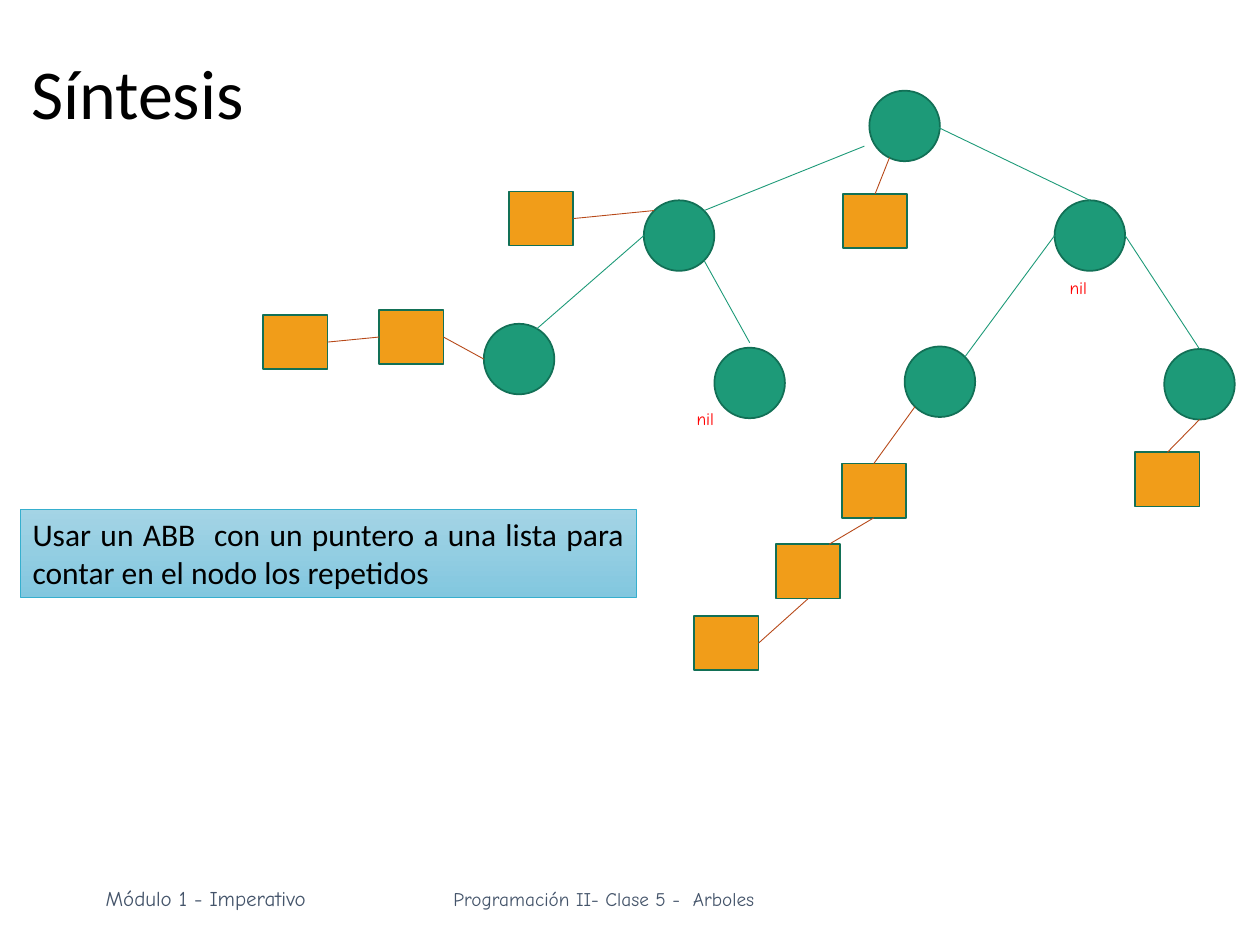
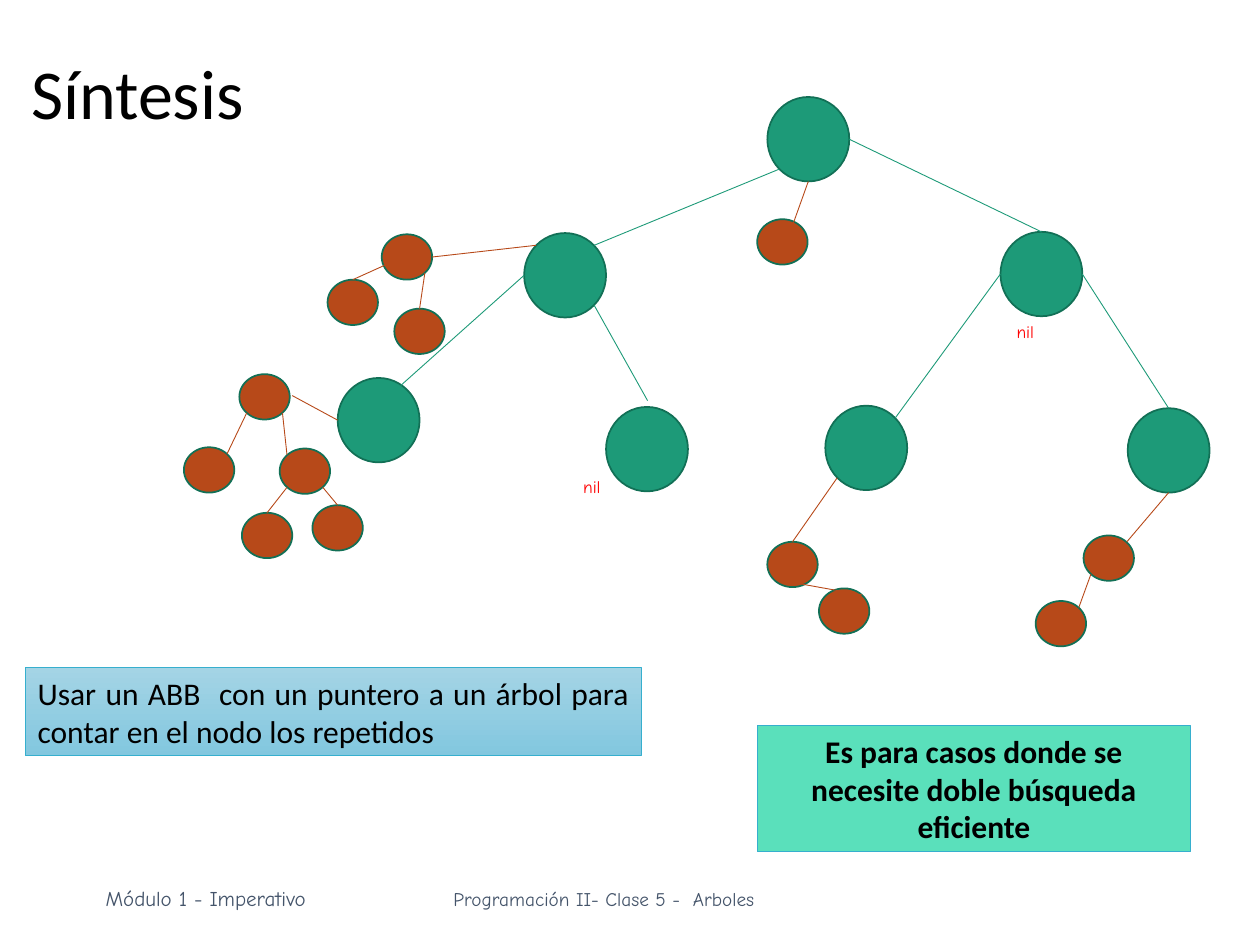
from dataclasses import dataclass

from lxml import etree
from pptx import Presentation
from pptx.dml.color import RGBColor
from pptx.enum.shapes import MSO_CONNECTOR, MSO_SHAPE
from pptx.enum.text import MSO_ANCHOR, PP_ALIGN
from pptx.oxml.ns import qn
from pptx.util import Inches, Pt

ELLIPSE, RECTANGLE = MSO_SHAPE.OVAL, MSO_SHAPE.RECTANGLE
STRAIGHT = MSO_CONNECTOR.STRAIGHT
LEFT_ALIGN, CENTER, JUSTIFY = PP_ALIGN.LEFT, PP_ALIGN.CENTER, PP_ALIGN.JUSTIFY
TOP_ANCHOR, MIDDLE_ANCHOR = MSO_ANCHOR.TOP, MSO_ANCHOR.MIDDLE

# Unit directions from the centre of a node to its outline
DIAGONAL = 0.71
TOP, BOTTOM, LEFT, RIGHT = (0, -1), (0, 1), (-1, 0), (1, 0)
TOP_LEFT, TOP_RIGHT = (-DIAGONAL, -DIAGONAL), (DIAGONAL, -DIAGONAL)
BOTTOM_LEFT, BOTTOM_RIGHT = (-DIAGONAL, DIAGONAL), (DIAGONAL, DIAGONAL)


@dataclass(frozen=True)
class Theme:
    body_font: str = "Calibri"
    note_font: str = "Comic Neue"
    text: str = "000000"
    footer: str = "44546A"
    nil: str = "FF0000"
    tree: str = "1D9A78"
    outline: str = "127056"
    list_item: str = "F19D19"
    branch: str = "B74919"
    box_gradient: tuple = ("A4D4E5", "82C7DF")
    box_line: str = "36AFCE"
    highlight: str = "5AE0BB"
    title_size: int = 40
    body_size: int = 18
    module_size: int = 12
    course_size: int = 11
    nil_size: int = 10
    thin: float = 0.5
    node_line: float = 1


THEME = Theme()


@dataclass(frozen=True)
class Node:
    left: float
    top: float
    width: float
    height: float

    def at(self, direction):
        """Point on the outline in the given direction."""
        across, down = direction
        return (self.left + self.width / 2 * (1 + across),
                self.top + self.height / 2 * (1 + down))


def make_nodes(size, *corners):
    return [Node(*corner, *size) for corner in corners]


def color(value):
    return RGBColor.from_string(value)


def write(shape, text, size, font=THEME.body_font, ink=THEME.text,
          align=LEFT_ALIGN, anchor=TOP_ANCHOR, wrap=True, bold=False):
    frame = shape.text_frame
    frame.word_wrap = wrap
    frame.vertical_anchor = anchor
    paragraph = frame.paragraphs[0]
    paragraph.alignment = align
    run = paragraph.add_run()
    run.text = text
    run.font.name = font
    run.font.size = Pt(size)
    run.font.bold = bold
    run.font.color.rgb = color(ink)
    return paragraph


def add_text(slide, box, text, size, **style):
    shape = slide.shapes.add_textbox(*map(Inches, box))
    return write(shape, text, size, **style)


def add_outlined(slide, kind, box, line, line_width):
    shape = slide.shapes.add_shape(kind, *map(Inches, box))
    shape.shadow.inherit = False
    shape.line.color.rgb = color(line)
    shape.line.width = Pt(line_width)
    return shape


def fill_solid(shape, value):
    shape.fill.solid()
    shape.fill.fore_color.rgb = color(value)


def add_nodes(slide, kind, nodes, fill):
    for node in nodes:
        box = (node.left, node.top, node.width, node.height)
        shape = add_outlined(slide, kind, box, THEME.outline, THEME.node_line)
        fill_solid(shape, fill)


def add_edges(slide, edges, line):
    for start, end in edges:
        connector = slide.shapes.add_connector(
            STRAIGHT, *map(Inches, start + end))
        connector.line.color.rgb = color(line)
        connector.line.width = Pt(THEME.thin)
        properties = connector._element.spPr
        etree.SubElement(properties, qn("a:effectLst"))


def add_nil(slide, *box):
    add_text(slide, box, "nil", THEME.nil_size,
             font=THEME.note_font, ink=THEME.nil)


def add_statement(slide, left, top, text):
    shape = add_outlined(slide, RECTANGLE, (left, top, 4.89, 0.7),
                         THEME.box_line, THEME.thin)
    shape.fill.gradient()
    shape.fill.gradient_angle = 270
    for stop, value in zip(shape.fill.gradient_stops, THEME.box_gradient):
        stop.color.rgb = color(value)
    write(shape, text, THEME.body_size, align=JUSTIFY)


def add_highlight(slide, box, text):
    shape = add_outlined(slide, RECTANGLE, box, THEME.box_line, THEME.thin)
    fill_solid(shape, THEME.highlight)
    write(shape, text, THEME.body_size, align=CENTER, bold=True)


def add_base_slide(presentation):
    """Blank slide with the shared footers and title."""
    slide = presentation.slides.add_slide(presentation.slide_layouts[6])
    footer = {"font": THEME.note_font, "ink": THEME.footer, "wrap": False}
    add_text(slide, (3.5, 6.99, 2.6, 0.29),
             "Programación II- Clase 5 -  Arboles", THEME.course_size, **footer)
    add_text(slide, (0.74, 6.98, 1.79, 0.3),
             "Módulo 1 - Imperativo", THEME.module_size, **footer)
    title = add_text(slide, (0.15, 0.04, 8.63, 1.45), "Síntesis",
                     THEME.title_size, anchor=MIDDLE_ANCHOR)
    title.line_spacing = 0.9
    return slide


def add_main_tree(slide, nodes, root_left, far_left_end, inner_left_end,
                  root_right):
    """Seven nodes and six edges; the four points are the free edge ends."""
    root, left, right, far_left, far_right, inner_left, inner_right = nodes
    add_nodes(slide, ELLIPSE, nodes, THEME.tree)
    add_edges(slide, [
        (root_left, left.at(TOP_RIGHT)),
        (left.at(LEFT), far_left_end),
        (left.at(BOTTOM_RIGHT), inner_left_end),
        (root_right, right.at(TOP)),
        (right.at(LEFT), inner_right.at(TOP_RIGHT)),
        (right.at(RIGHT), far_right.at(TOP)),
    ], THEME.tree)


def build_list_slide(presentation):
    slide = add_base_slide(presentation)
    add_statement(slide, 0.16, 4.04, "Usar un ABB  con un puntero a una lista "
                  "para contar en el nodo los repetidos")
    nodes = make_nodes(
        (0.56, 0.56), (6.9, 0.72), (5.11, 1.59), (8.37, 1.59), (3.84, 2.57),
        (9.24, 2.77), (5.67, 2.76), (7.18, 2.75))
    add_main_tree(slide, nodes, (6.86, 1.16), (4.26, 2.61), (5.95, 2.72),
                  (7.34, 0.96))
    _, left, _, far_left, far_right, _, inner_right = nodes

    items = make_nodes(
        (0.51, 0.43), (6.69, 1.54), (4.04, 1.52), (3.01, 2.46), (2.09, 2.5),
        (6.68, 3.68), (6.16, 4.32), (5.51, 4.89), (9.01, 3.59))
    (root_item, left_item, far_left_first, far_left_second,
     inner_first, inner_second, inner_third, far_right_item) = items
    add_nodes(slide, RECTANGLE, items, THEME.list_item)
    add_edges(slide, [
        ((7.06, 1.25), root_item.at(TOP)),
        (left.at(TOP_LEFT), left_item.at(RIGHT)),
        (far_left.at(LEFT), far_left_first.at(RIGHT)),
        (far_left_first.at(LEFT), far_left_second.at(RIGHT)),
        (inner_right.at(BOTTOM_LEFT), inner_first.at(TOP)),
        (inner_first.at(BOTTOM), (6.58, 4.32)),
        (inner_second.at(BOTTOM), inner_third.at(RIGHT)),
        (far_right.at(BOTTOM), far_right_item.at(TOP)),
    ], THEME.branch)
    add_nil(slide, 5.43, 3.19, 0.72, 0.27)
    add_nil(slide, 8.39, 2.15, 0.72, 0.27)


def build_nested_tree_slide(presentation):
    slide = add_base_slide(presentation)
    add_statement(slide, 0.2, 5.3, "Usar un ABB  con un puntero a un árbol "
                  "para contar en el nodo los repetidos")
    nodes = make_nodes(
        (0.65, 0.67), (6.09, 0.77), (4.16, 1.85), (7.94, 1.84), (2.68, 3),
        (8.95, 3.24), (4.81, 3.23), (6.55, 3.22))
    root, left, _, far_left, far_right, _, inner_right = nodes
    add_main_tree(slide, nodes, root.at(BOTTOM_LEFT), (3.18, 3.06),
                  (5.14, 3.18), root.at(RIGHT))

    subnodes = make_nodes(
        (0.4, 0.36), (6.01, 1.74), (3.03, 1.86), (2.6, 2.22), (3.13, 2.45),
        (1.9, 2.97), (1.46, 3.55), (2.22, 3.56), (1.92, 4.07), (2.48, 4.01),
        (6.09, 4.3), (6.5, 4.67), (8.6, 4.25), (8.22, 4.77))
    (_, left_top, left_first, left_second,
     far_top, far_first, far_second, far_third, far_fourth,
     inner_top, inner_child, right_top, right_child) = subnodes
    add_nodes(slide, ELLIPSE, subnodes, THEME.branch)
    add_edges(slide, [
        (root.at(BOTTOM), (6.29, 1.79)),
        (left.at(TOP_LEFT), left_top.at(RIGHT)),
        ((3.22, 2.03), left_first.at(TOP)),
        (left_top.at(BOTTOM_RIGHT), left_second.at(TOP)),
        (far_left.at(LEFT), (2.32, 3.14)),
        (far_top.at(BOTTOM_LEFT), far_first.at(TOP_RIGHT)),
        (far_top.at(BOTTOM_RIGHT), far_second.at(TOP_LEFT)),
        (far_second.at(BOTTOM_LEFT), far_third.at(TOP)),
        (far_second.at(BOTTOM_RIGHT), far_fourth.at(TOP)),
        (inner_right.at(BOTTOM_LEFT), inner_top.at(TOP)),
        ((6.22, 4.61), inner_child.at(TOP_RIGHT)),
        (far_right.at(BOTTOM), right_top.at(TOP_RIGHT)),
        (right_top.at(BOTTOM_LEFT), right_child.at(TOP_RIGHT)),
    ], THEME.branch)
    add_nil(slide, 4.53, 3.73, 0.84, 0.27)
    add_nil(slide, 7.97, 2.5, 0.84, 0.27)
    add_highlight(slide, (6.01, 5.76, 3.44, 1),
                  "Es para casos donde se necesite doble búsqueda eficiente")


def main():
    presentation = Presentation()
    presentation.slide_width = Inches(10)
    presentation.slide_height = Inches(7.5)
    build_list_slide(presentation)
    build_nested_tree_slide(presentation)
    presentation.save("out.pptx")


if __name__ == "__main__":
    main()
